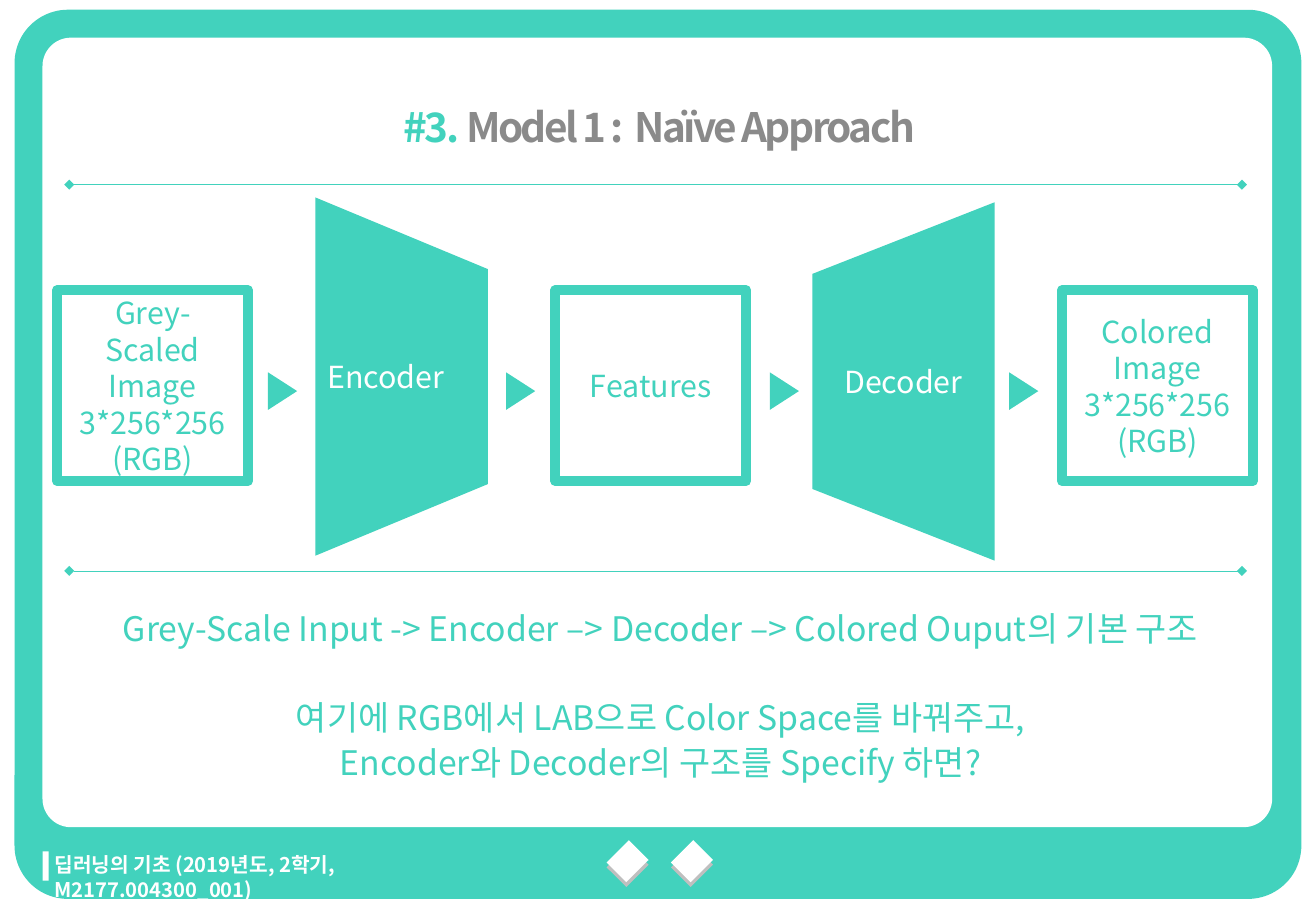
from lxml import etree
from pptx import Presentation, util as u
from pptx.dml.color import RGBColor
from pptx.enum import shapes, text
from pptx.oxml.ns import qn

FONT = "Noto Sans CJK KR"
TEAL, WHITE, GREY, SHADE = "42D2BD", "FFFFFF", "8A8A8A", "BFBFBF"
KIND = shapes.MSO_SHAPE

presentation = Presentation()
presentation.slide_width = u.Inches(10.83)
presentation.slide_height = u.Inches(7.5)
# All lengths are counted in a grid of 100 columns and 100 rows.
COLUMN = presentation.slide_width / 100
ROW = presentation.slide_height / 100
slide = presentation.slides.add_slide(presentation.slide_layouts[5])


def add_block(kind, left, top, width, height, fill, rotation=0):
    shape = slide.shapes.add_shape(
        kind, int(left * COLUMN), int(top * ROW), int(width * COLUMN), int(height * ROW))
    shape.shadow.inherit = False
    shape.rotation = rotation
    shape.fill.solid()
    shape.fill.fore_color.rgb = RGBColor.from_string(fill)
    shape.line.fill.background()
    return shape


def write(shape, lines, size, align=text.PP_ALIGN.CENTER, anchor=text.MSO_ANCHOR.MIDDLE,
          bold=False):
    """Fill the shape with lines, each a list of (wording, colour) runs."""
    frame = shape.text_frame
    frame.word_wrap = True
    frame.vertical_anchor = anchor
    for index, runs in enumerate(lines):
        paragraph = frame.paragraphs[0] if index == 0 else frame.add_paragraph()
        paragraph.alignment = align
        for wording, color in runs:
            run = paragraph.add_run()
            run.text = wording
            for name, value in {"name": FONT, "size": u.Pt(size), "bold": bold}.items():
                setattr(run.font, name, value)
            run.font.color.rgb = RGBColor.from_string(color)
            etree.SubElement(run.font._element, qn("a:ea"), typeface=FONT)
    return frame


# Frame
for left, top, width, height, radius, fill in [
        (1.11, 1.07, 97.78, 97.6, 0.06, TEAL), (3.23, 4.13, 93.44, 86.67, 0.036, WHITE)]:
    panel = add_block(KIND.ROUNDED_RECTANGLE, left, top, width, height, fill)
    panel.adjustments[0] = radius

# Footer
for top, fill in [(93.33, SHADE), (92.8, WHITE)]:
    for left in (46.63, 51.52):
        add_block(KIND.RECTANGLE, left, top, 2.12, 3.47, fill, 45)
course = slide.shapes.add_textbox(
    int(3.23 * COLUMN), int(92.93 * ROW), int(37.77 * COLUMN), int(4 * ROW))
write(course, [[("딥러닝의 기초 (2019년도, 2학기, M2177.004300_001)", WHITE)]], 12,
      text.PP_ALIGN.LEFT, text.MSO_ANCHOR.TOP, True)
add_block(KIND.RECTANGLE, 3.23, 93.47, 0.46, 3.2, WHITE)

# Model diagram
BOX_TOP = 31.87
for label, left, height, rotation, direction in [
        ("Encoder", 16.9, 18.93, 270, "eaVert"), ("Decoder", 55.03, 20, 90, "vert270")]:
    network = add_block(KIND.FLOWCHART_MANUAL_OPERATION, left, BOX_TOP, 27.24, height,
                        TEAL, rotation)
    frame = write(network, [[(label, WHITE)]], 18)
    frame._txBody.bodyPr.set("vert", direction)

for left, labels in [
        (4.34, ["Grey-Scaled", "Image", "3*256*256", "(RGB)"]),
        (80.7, ["Colored", "Image", "3*256*256", "(RGB)"]),
        (42.2, ["Features"])]:
    box = add_block(KIND.RECTANGLE, left, BOX_TOP, 14.5, 20.93, WHITE)
    box.line.color.rgb = RGBColor.from_string(TEAL)
    box.line.width = u.Pt(6)
    write(box, [[(label, TEAL)] for label in labels], 18)

for left in (20.04, 38.13, 58.17, 76.36):
    add_block(KIND.ISOSCELES_TRIANGLE, left, 41.33, 2.86, 3.2, TEAL, 90)

# Title
title = slide.shapes.title
for name, value in {"left": 19.67 * COLUMN, "top": 10.53 * ROW,
                    "width": 60.85 * COLUMN, "height": 6.67 * ROW}.items():
    setattr(title, name, int(value))
frame = write(title, [[("#3. ", TEAL), ("Model 1 :  Naïve Approach", GREY)]], 24, bold=True)
for run in frame.paragraphs[0].runs:
    run.font._element.set("spc", "-150")
slide.shapes._spTree.append(title._element)  # in front of the frame

# Divider lines
for row in (20.27, 62.67):
    divider = slide.shapes.add_connector(
        shapes.MSO_CONNECTOR.STRAIGHT, int(94.37 * COLUMN), int(row * ROW),
        int(5.26 * COLUMN), int(row * ROW))
    divider.line.color.rgb = RGBColor.from_string(TEAL)
    divider.line.width = u.Pt(0.25)
    for end in ("a:headEnd", "a:tailEnd"):
        etree.SubElement(divider.line._get_or_add_ln(), qn(end), type="diamond")
    etree.SubElement(divider._element.spPr, qn("a:effectLst"))

# Explanation
explanation = slide.shapes.add_textbox(
    int(6.56 * COLUMN), int(62.93 * ROW), int(87.26 * COLUMN), int(26.27 * ROW))
frame = write(explanation, [[(line, TEAL)] for line in [
    "Grey-Scale Input -> Encoder –> Decoder –> Colored Ouput의 기본 구조",
    "여기에 RGB에서 LAB으로 Color Space를 바꿔주고,",
    "Encoder와 Decoder의 구조를 Specify 하면?"]], 20)
for paragraph in frame.paragraphs:
    paragraph.line_spacing = 1.1
frame.paragraphs[1].space_before = u.Pt(26.4)

presentation.save("out.pptx")
